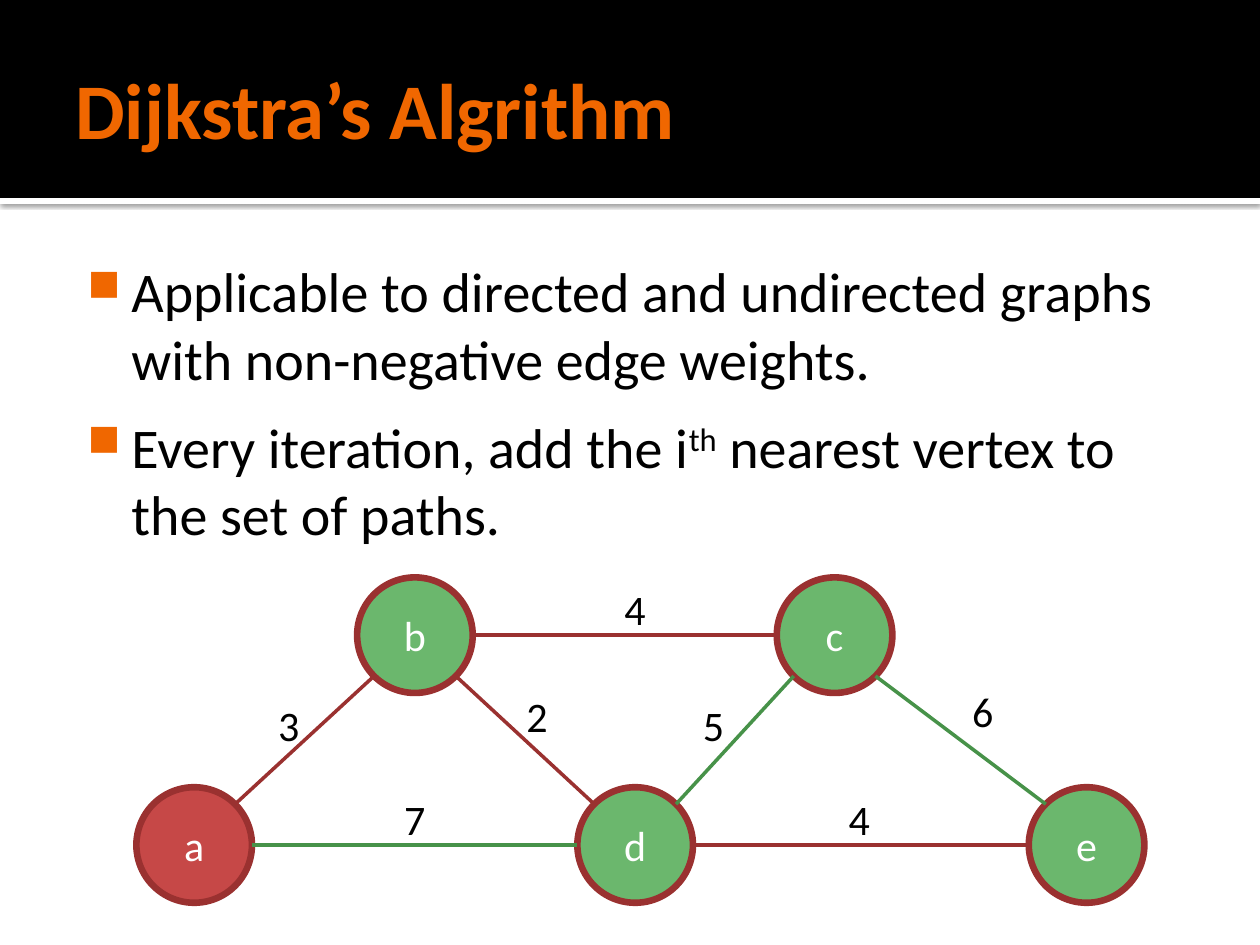
import math
from dataclasses import dataclass

import pptx
import pptx.dml.color
import pptx.enum.shapes
import pptx.enum.text
import pptx.oxml
import pptx.oxml.ns
import pptx.util

Cm = pptx.util.Cm
Pt = pptx.util.Pt
Form = pptx.enum.shapes.MSO_SHAPE
Mid = pptx.enum.text.MSO_ANCHOR.MIDDLE
Centre = pptx.enum.text.PP_ALIGN.CENTER
Auto = pptx.enum.text.MSO_AUTO_SIZE


@dataclass(frozen=True)
class Theme:
    font: str = "Calibri"
    black: str = "000000"
    white: str = "FFFFFF"
    orange: str = "F06700"
    green: str = "6BB76D"
    red: str = "C64847"
    dark: str = "9A3130"
    leaf: str = "479249"
    head: int = 45
    body: int = 32
    small: int = 24


THEME = Theme()
NODES = {
    "b": (4.45, 0, THEME.green),
    "a": (0, 4.23, THEME.red),
    "c": (12.91, 0, THEME.green),
    "d": (8.89, 4.23, THEME.green),
    "e": (17.99, 4.23, THEME.green),
}
EDGES = [
    ("a", "b", -45, THEME.dark, "3", 2.61, 2.33),
    ("c", "b", 180, THEME.dark, "4", 9.59, 0),
    ("a", "d", 0, THEME.leaf, "7", 5.15, 4.23),
    ("d", "b", -135, THEME.dark, "2", 7.61, 2.15),
    ("d", "c", -45, THEME.leaf, "5", 11.17, 2.33),
    ("d", "e", 0, THEME.dark, "4", 14.11, 4.23),
    ("e", "c", -135, THEME.leaf, "6", 16.6, 2.05),
]
POINTS = [
    [("Applicable to directed and undirected graphs with non-negative edge weights.", 0)],
    [("Every iteration, add the i", 0), ("th", 30000),
     (" nearest vertex to the set of paths.", 0)],
]


def tint(code):
    return pptx.dml.color.RGBColor.from_string(code)


def apply(item, values):
    for name, value in values.items():
        setattr(item, name, value)


def style(font, size, code, bold=False):
    apply(font, {"name": THEME.font, "size": Pt(size), "bold": bold})
    font.color.rgb = tint(code)


def add_xml(parent, text):
    space = pptx.oxml.ns.nsdecls("a")
    parent.append(pptx.oxml.parse_xml(text.replace(" ", f" {space} ", 1)))


def add_form(slide, form, box, fill):
    shape = slide.shapes.add_shape(form, *map(Cm, box))
    shape.shadow.inherit = False
    shape.fill.solid()
    shape.fill.fore_color.rgb = tint(fill)
    shape.line.fill.background()
    return shape


def add_text(slide, box, values):
    frame = slide.shapes.add_textbox(*map(Cm, box)).text_frame
    apply(frame, {"word_wrap": True, **values})
    return frame


def draw_head(slide, box):
    left, top, width, height = box
    strip = add_form(slide, Form.RECTANGLE, (left, top + height, width, 0.12), THEME.white)
    effects = strip._element.spPr.find(pptx.oxml.ns.qn("a:effectLst"))
    add_xml(effects, f'<a:outerShdw blurRad="{Pt(2.5)}" dist="{Pt(0.8)}" dir="5400000">'
            f'<a:srgbClr val="{THEME.black}"><a:alpha val="60000"/></a:srgbClr></a:outerShdw>')
    add_form(slide, Form.RECTANGLE, box, THEME.black)
    frame = add_text(slide, (left + 1.27, top + 0.43, width - 2.54, 3.48),
                     {"vertical_anchor": Mid, "margin_left": Cm(0.25),
                      "margin_right": Cm(0.13)})
    run = frame.paragraphs[0].add_run()
    run.text = "Dijkstra’s Algrithm"
    style(run.font, THEME.head, THEME.orange, True)


def draw_points(slide, box):
    frame = add_text(slide, box, {"margin_left": Cm(0.16), "margin_top": Cm(0.25)})
    for rank, parts in enumerate(POINTS):
        para = frame.add_paragraph() if rank else frame.paragraphs[0]
        para.space_after = Pt(12)
        props = para._p.get_or_add_pPr()
        props.set("marL", str(Cm(1.22)))
        props.set("indent", str(Cm(-0.89)))
        add_xml(props, f'<a:buClr ><a:srgbClr val="{THEME.orange}"/></a:buClr>')
        add_xml(props, '<a:buSzPct val="80000"/>')
        add_xml(props, '<a:buChar char="■"/>')
        for text, lift in parts:
            run = para.add_run()
            run.text = text
            style(run.font, THEME.body, THEME.black)
            if lift:
                run.font._element.set("baseline", str(lift))


def draw_node(slide, box, name, fill):
    node = add_form(slide, Form.OVAL, box, fill)
    apply(node.line, {"width": Pt(3.78)})
    node.line.color.rgb = tint(THEME.dark)
    frame = node.text_frame
    frame.vertical_anchor = Mid
    para = frame.paragraphs[0]
    para.alignment = Centre
    run = para.add_run()
    run.text = name
    style(run.font, THEME.small, THEME.white)


def draw_edge(slide, start, end, code):
    kind = pptx.enum.shapes.MSO_CONNECTOR.STRAIGHT
    edge = slide.shapes.add_connector(kind, *map(Cm, start + end))
    add_xml(edge._element.spPr, "<a:effectLst />")
    edge.line.width = Pt(2)
    edge.line.color.rgb = tint(code)


def draw_cost(slide, box, text):
    frame = add_text(slide, box, {"word_wrap": False, "auto_size": Auto.SHAPE_TO_FIT_TEXT})
    run = frame.paragraphs[0].add_run()
    run.text = text
    style(run.font, THEME.small, THEME.black)


def draw_graph(slide, box):
    left, top, size = box

    def rim(name, turn):
        x, y, _ = NODES[name]
        angle = math.radians(turn)
        half = size / 2
        return (left + x + half + half * math.cos(angle),
                top + y + half + half * math.sin(angle))

    for name, (x, y, fill) in NODES.items():
        draw_node(slide, (left + x, top + y, size, size), name, fill)
    for first, last, turn, code, cost, x, y in EDGES:
        draw_edge(slide, rim(first, turn), rim(last, turn + 180), code)
        draw_cost(slide, (left + x, top + y, 0.95, 1.27), cost)


def main():
    deck = pptx.Presentation()
    apply(deck, {"slide_width": Cm(25.4), "slide_height": Cm(19.05)})
    slide = deck.slides.add_slide(deck.slide_layouts[6])
    draw_head(slide, (0, 0, 25.4, 3.99))
    draw_points(slide, (1.27, 4.93, 22.86, 12.85))
    draw_graph(slide, (2.75, 11.64, 2.33))
    deck.save("out.pptx")


if __name__ == "__main__":
    main()
